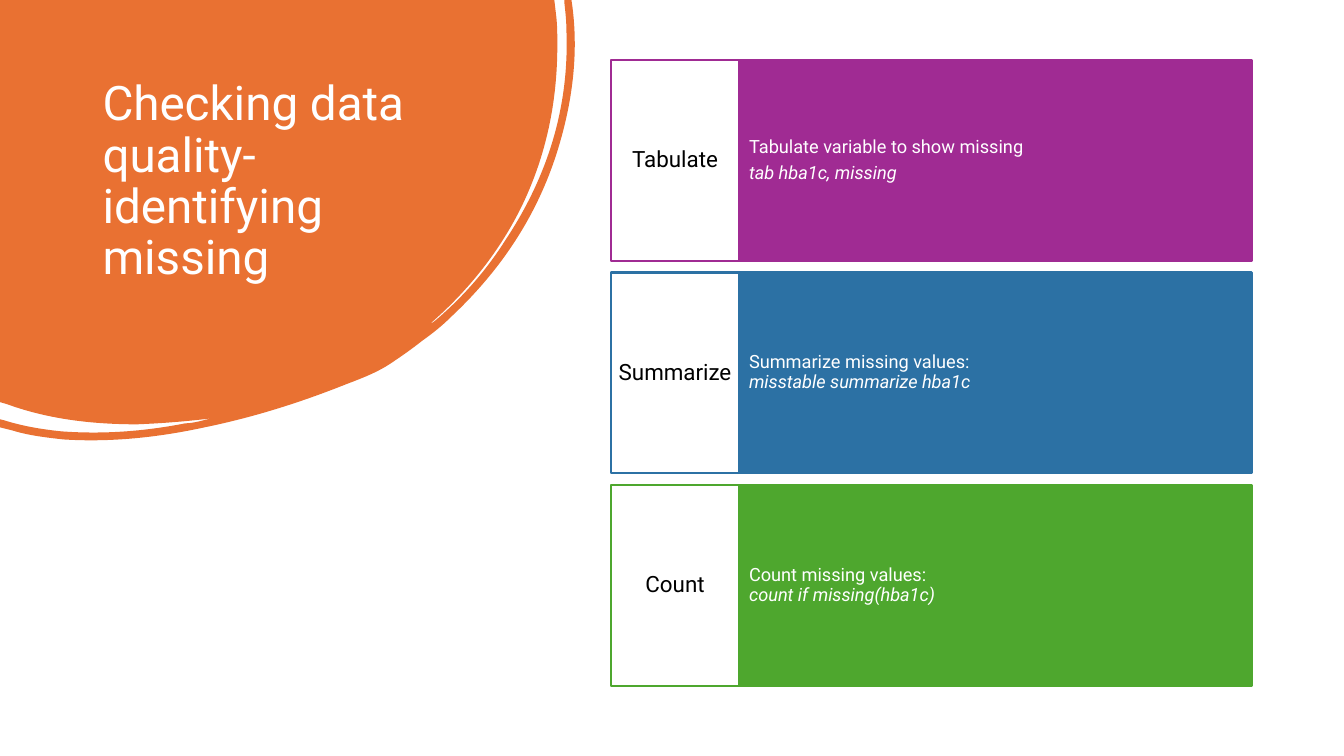
import pptx
import pptx.dml.color
import pptx.enum.shapes
import pptx.enum.text
import pptx.oxml
import pptx.oxml.ns
import pptx.util

Cm, Pt = pptx.util.Cm, pptx.util.Pt
ALIGN = pptx.enum.text.PP_ALIGN
ANCHOR = pptx.enum.text.MSO_ANCHOR
FONT = "Roboto"
WHITE, BLACK, ORANGE = "FFFFFF", "000000", "E97132"

# Blob outline in hundredths of an inch: pairs are corners, sixes are Bezier curves.
UNIT = Cm(2.54) // 100
SIZE = (571, 437)
BLOB = [
    (0, 0), (550, 0), (552, 17),
    (553, 26, 553, 36, 553, 45), (553, 101, 542, 154, 518, 204),
    (496, 249, 465, 288, 427, 321), (429, 321, 430, 319, 432, 318),
    (459, 295, 482, 269, 501, 239), (543, 176, 565, 107, 562, 30),
    (562, 21, 561, 12, 560, 3), (560, 0), (567, 0), (568, 7),
    (574, 54, 568, 102, 553, 150), (533, 214, 497, 268, 448, 314),
    (439, 323, 429, 331, 419, 338), (409, 346, 399, 353, 387, 361),
    (375, 369, 360, 375, 344, 381), (299, 399, 252, 414, 203, 424),
    (157, 434, 110, 439, 63, 436), (45, 434, 28, 432, 12, 427),
    (0, 424), (0, 416), (4, 417),
    (23, 423, 42, 426, 61, 428), (103, 431, 143, 428, 184, 420),
    (189, 420, 193, 419, 198, 418), (202, 417, 206, 416, 210, 415),
    (186, 418, 161, 420, 136, 421), (92, 421, 48, 416, 7, 401),
    (0, 399),
]

# Label, colour, and paragraphs made of (line, italic) pairs.
ROWS = [
    ("Tabulate", "A02B93", [[("Tabulate variable to show missing", False)],
                            [("tab hba1c, missing", True)]]),
    ("Summarize", "2C71A4", [[("Summarize missing values:", False),
                              ("misstable summarize hba1c", True)]]),
    ("Count", "4EA72E", [[("Count missing values:", False),
                          ("count if missing(hba1c)", True)]]),
]


def tint(code):
    return pptx.dml.color.RGBColor.from_string(code)


def style(item, **values):
    for name, value in values.items():
        setattr(item, name, value)


def bend(shape, parts):
    """Turn the straight segments that have handles into Bezier curves."""
    qn = pptx.oxml.ns.qn
    lines = list(shape.element.iter(qn("a:lnTo")))
    for line, part in zip(lines, parts):
        if len(part) == 6:
            curve = pptx.oxml.parse_xml(
                f"<a:cubicBezTo {pptx.oxml.ns.nsdecls('a')}>"
                + "".join(f'<a:pt x="{x}" y="{y}"/>'
                          for x, y in zip(part[::2], part[1::2]))
                + "</a:cubicBezTo>")
            line.getparent().replace(line, curve)


def stretch(shape, wide, high):
    """Let the frame hold the curves that bulge past their end points."""
    style(shape, width=wide * UNIT, height=high * UNIT)
    for outline in shape.element.iter(pptx.oxml.ns.qn("a:path")):
        outline.set("w", str(wide))
        outline.set("h", str(high))


def paint(shape, fill, line=None):
    shape.shadow.inherit = False
    shape.fill.solid()
    shape.fill.fore_color.rgb = tint(fill)
    if line:
        shape.line.color.rgb = tint(line)
        shape.line.width = Pt(1.5)
    else:
        shape.line.fill.background()


def write(frame, paras, size, color, align, after=0):
    for i, lines in enumerate(paras):
        para = frame.add_paragraph() if i else frame.paragraphs[0]
        style(para, alignment=align, line_spacing=0.9,
              space_before=Pt(0), space_after=Pt(after))
        for j, (text, slant) in enumerate(lines):
            if j:
                para.add_line_break()
            run = para.add_run()
            run.text = text
            style(run.font, name=FONT, size=Pt(size), italic=slant)
            run.font.color.rgb = tint(color)


def draw_blob(slide, left, top):
    first, *rest = BLOB
    pen = slide.shapes.build_freeform(*first, scale=UNIT)
    pen.add_line_segments([part[-2:] for part in rest], close=True)
    blob = pen.convert_to_shape(left, top)
    bend(blob, rest)
    stretch(blob, *SIZE)
    paint(blob, ORANGE)


def draw_title(slide, left, top, width, height):
    title = slide.shapes.title
    style(title, left=left, top=top, width=width, height=height)
    style(title.text_frame, word_wrap=True, vertical_anchor=ANCHOR.TOP,
          auto_size=pptx.enum.text.MSO_AUTO_SIZE.NONE)
    write(title.text_frame, [[("Checking data quality-identifying missing", False)]],
          34, WHITE, ALIGN.LEFT)
    # Lift the title above the blob.
    title.element.getparent().append(title.element)


def draw_cell(slide, box, fill, line, pad, paras, **text):
    cell = slide.shapes.add_shape(pptx.enum.shapes.MSO_SHAPE.RECTANGLE, *box)
    paint(cell, fill, line)
    side, end = pad
    style(cell.text_frame, word_wrap=True, vertical_anchor=ANCHOR.MIDDLE,
          margin_left=side, margin_right=side, margin_top=end, margin_bottom=end)
    write(cell.text_frame, paras, **text)


def draw_rows(slide, left, top, width, height):
    gap = Cm(0.3)
    tall = (height - gap * (len(ROWS) - 1)) // len(ROWS)
    tab = width // 5
    for i, (label, color, paras) in enumerate(ROWS):
        y = top + i * (tall + gap)
        draw_cell(slide, (left + tab, y, width - tab, tall), color, color,
                  (Cm(0.25), Cm(1.3)), paras,
                  size=13, color=WHITE, align=ALIGN.LEFT, after=4.5)
        draw_cell(slide, (left, y, tab, tall), WHITE, color,
                  (Cm(0.17), Cm(0.5)), [[(label, False)]],
                  size=16, color=BLACK, align=ALIGN.CENTER, after=5.5)


def main():
    deck = pptx.Presentation()
    style(deck, slide_width=Cm(33.87), slide_height=Cm(19.05))
    slide = deck.slides.add_slide(deck.slide_layouts[5])
    draw_blob(slide, 0, 0)
    draw_title(slide, Cm(2.33), Cm(1.88), Cm(8.94), Cm(5.64))
    draw_rows(slide, Cm(15.4), Cm(1.51), Cm(16.14), Cm(15.77))
    deck.save("out.pptx")


if __name__ == "__main__":
    main()
